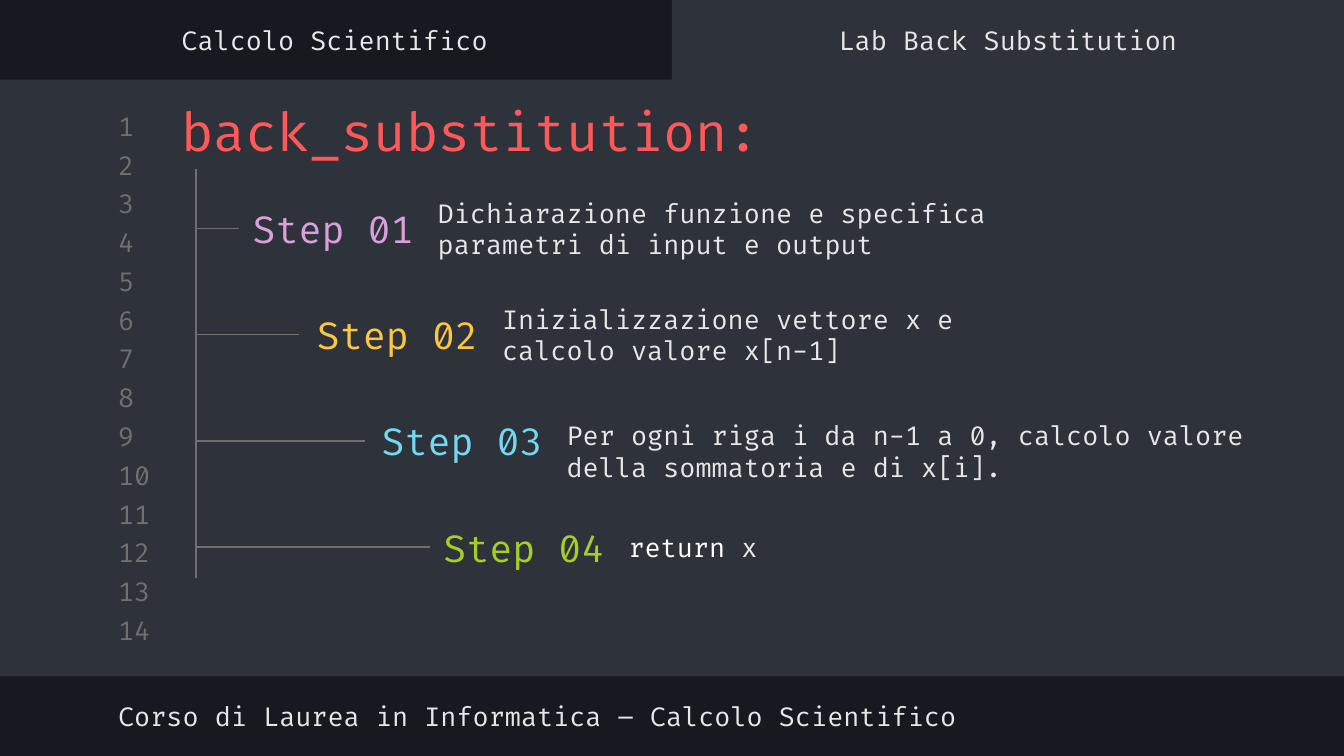
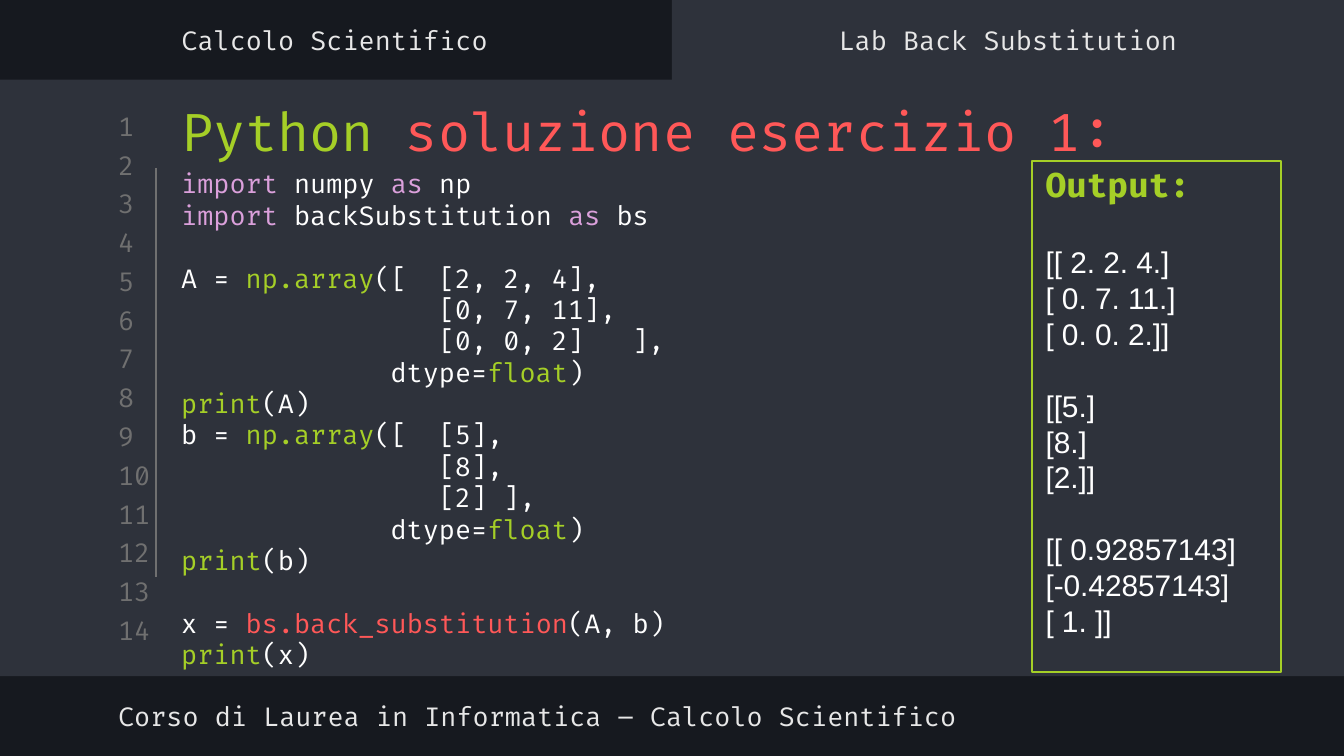
from lxml import etree
from pptx import Presentation
from pptx.dml.color import RGBColor
from pptx.enum.shapes import MSO_CONNECTOR, MSO_SHAPE
from pptx.enum.text import MSO_ANCHOR, PP_ALIGN
from pptx.oxml.ns import qn
from pptx.util import Pt

LEFT, CENTER = PP_ALIGN.LEFT, PP_ALIGN.CENTER
TOP, MIDDLE = MSO_ANCHOR.TOP, MSO_ANCHOR.MIDDLE
RECTANGLE, STRAIGHT = MSO_SHAPE.RECTANGLE, MSO_CONNECTOR.STRAIGHT

COLORS = {
    "dark": "16191F", "panel": "2E323B", "gray": "707070",
    "light": "E7E7E7", "white": "FFFFFF", "red": "FF5858",
    "purple": "DBA0DB", "yellow": "FCC642", "cyan": "72D9F0",
    "green": "A5CF27",
}
RGB = {name: RGBColor.from_string(value) for name, value in COLORS.items()}
CODE_FONT, OUTPUT_FONT = "Fira Code", "Arial"
INSET = 7.2
CODE_COLUMN = 8.63  # width of one 14 pt character


def write(shape, lines, size=14, font=CODE_FONT, align=LEFT, anchor=MIDDLE, inset_y=INSET):
    """Fill a shape with lines, each a list of (text, colour name) runs."""
    frame = shape.text_frame
    frame.word_wrap = True
    frame.vertical_anchor = anchor
    frame.margin_left = frame.margin_right = Pt(INSET)
    frame.margin_top = frame.margin_bottom = Pt(inset_y)
    for number, runs in enumerate(lines):
        paragraph = frame.add_paragraph() if number else frame.paragraphs[0]
        paragraph.alignment = align
        paragraph.font.name = font
        paragraph.font.size = Pt(size)
        same_color = len({color for _, color in runs}) == 1
        if same_color:
            paragraph.font.color.rgb = RGB[runs[0][1]]
        for text, color in runs:
            run = paragraph.add_run()
            run.text = text
            if not same_color:
                run.font.color.rgb = RGB[color]
    return frame.paragraphs


def add_line(slide, x1, y1, x2, y2):
    line = slide.shapes.add_connector(STRAIGHT, Pt(x1), Pt(y1), Pt(x2), Pt(y2))
    line.line.color.rgb = RGB["gray"]
    line.line.width = Pt(0.75)
    etree.SubElement(line._element.spPr, qn("a:effectLst"))


prs = Presentation()
prs.slide_width, prs.slide_height = Pt(720), Pt(405)

# Shared frame: panels, line numbers, title, header tabs and footer
titles = [
    [("back_substitution:", "red")],
    [("Python", "green"), (" soluzione esercizio 1:", "red")],
]
panels = [(0, 42.6, 720, 319.6), (360, 0, 360, 46.8)]
captions = [
    ("Corso di Laurea in Informatica – Calcolo Scientifico", (56.2, 369.4, 485.3, 28), LEFT),
    ("Calcolo Scientifico", (-0.7, 7.2, 360, 28), CENTER),
    ("Lab Back Substitution", (360, 7.2, 360, 28), CENTER),
]
for title in titles:
    slide = prs.slides.add_slide(prs.slide_layouts[6])
    slide.background.fill.solid()
    slide.background.fill.fore_color.rgb = RGB["dark"]
    for box in panels:
        panel = slide.shapes.add_shape(RECTANGLE, *map(Pt, box))
        panel.shadow.inherit = False
        panel.fill.solid()
        panel.fill.fore_color.rgb = RGB["panel"]
        panel.line.fill.background()
    for row in range(14):
        number_box = slide.shapes.add_textbox(Pt(56.2), Pt(58.8 + 20.77 * row), Pt(33.8), Pt(17.3))
        write(number_box, [[(str(row + 1), "gray")]])
    title_box = slide.shapes.add_textbox(Pt(90), Pt(46.1), Pt(573.8), Pt(42.5))
    write(title_box, [title], size=28, anchor=TOP)
    for text, box, align in captions:
        write(slide.shapes.add_textbox(*map(Pt, box)), [[(text, "light")]], align=align)

steps_slide, code_slide = prs.slides

# Slide 1: tree of steps
TRUNK_X = 105.1
add_line(steps_slide, TRUNK_X, 90.7, TRUNK_X, 309.6)
# colour, left edge, branch end, description width and height, description
steps = [
    ("purple", 128.2, 128.2, 313.2, 46.1,
     [("Dichiarazione funzione e specifica parametri di input e output", "light")]),
    ("yellow", 162.7, 160.2, 313.2, 46.1,
     [("Inizializzazione vettore x e calcolo valore x[n-1]", "light")]),
    ("cyan", 197.3, 195.8, 393.1, 56.9,
     [("Per ogni riga i da n-1 a 0, calcolo valore della sommatoria e di x[i].", "light")]),
    ("green", 230.4, 230.4, 313.2, 46.1, [("return", "white"), (" x", "light")]),
]
for index, (color, left, branch_end, width, height, description) in enumerate(steps):
    top = 99.4 + 56.9 * index
    step_box = steps_slide.shapes.add_textbox(Pt(left), Pt(top), Pt(102.2), Pt(46.1))
    write(step_box, [[(f"Step {index + 1:02}", color)]], size=20)
    description_box = steps_slide.shapes.add_textbox(
        Pt(left + 99.2), Pt(top), Pt(width), Pt(height))
    write(description_box, [description])
    add_line(steps_slide, TRUNK_X, top + 23, branch_end, top + 23)

# Slide 2: code, with tab stops counted in characters
add_line(code_slide, 83.5, 90, 83.5, 308.9)
dtype_line = [("\tdtype=", "white"), ("float", "green"), (")", "white")]
code = [
    ([], [("import ", "purple"), ("numpy ", "white"), ("as ", "purple"), ("np", "white")]),
    ([], [("import ", "purple"), ("backSubstitution ", "white"), ("as ", "purple"), ("bs", "white")]),
    ([16], [("A = ", "white"), ("np.array", "green"), ("([\t[2, 2, 4],", "white")]),
    ([16], [("\t[0, 7, 11],", "white")]),
    ([16, 28], [("\t[0, 0, 2]\t],", "white")]),
    ([13], dtype_line),
    ([], [("print", "green"), ("(A)", "white")]),
    ([16], [("b = ", "white"), ("np.array", "green"), ("([\t[5],", "white")]),
    ([16], [("\t[8],", "white")]),
    ([16], [("\t[2] ],", "white")]),
    ([13], dtype_line),
    ([], [("print", "green"), ("(b)", "white")]),
    ([], [("x = ", "white"), ("bs.back_substitution", "red"), ("(A, b)", "white")]),
    ([], [("print", "green"), ("(x)", "white")]),
]
code_box = code_slide.shapes.add_textbox(Pt(90), Pt(86.4), Pt(283.7), Pt(278.6))
code_lines = write(code_box, [runs for _, runs in code], anchor=TOP, inset_y=3.6)
for paragraph, (stops, _) in zip(code_lines, code):
    if stops:
        tabs = etree.Element(qn("a:tabLst"))
        for column in stops:
            etree.SubElement(tabs, qn("a:tab"), pos=str(Pt(column * CODE_COLUMN)), algn="l")
        paragraph._p.get_or_add_pPr().find(qn("a:defRPr")).addprevious(tabs)
for block_start in (2, 12):
    code_lines[block_start].space_before = Pt(16.8)

# Slide 2: printed output
output = [
    "Output:",
    "[[ 2. 2. 4.]", "[ 0. 7. 11.]", "[ 0. 0. 2.]]",
    "[[5.]", "[8.]", "[2.]]",
    "[[ 0.92857143]", "[-0.42857143]", "[ 1. ]]",
]
output_box = code_slide.shapes.add_shape(RECTANGLE, Pt(553), Pt(86.4), Pt(133.2), Pt(273.6))
output_box.shadow.inherit = False
output_box.fill.background()
output_box.line.color.rgb = RGB["green"]
output_box.line.width = Pt(1)
heading, *results = write(output_box, [[(text, "white")] for text in output],
                          size=16, font=OUTPUT_FONT, anchor=TOP, inset_y=1.2)
heading.font.name = CODE_FONT
heading.font.size = Pt(18)
heading.font.bold = True
heading.font.color.rgb = RGB["green"]
for paragraph in results:
    paragraph.line_spacing = Pt(19.2)
for block_start, gap in ((0, 21.6), (3, 19.2), (6, 19.2)):
    results[block_start].space_before = Pt(gap)

prs.save("out.pptx")
